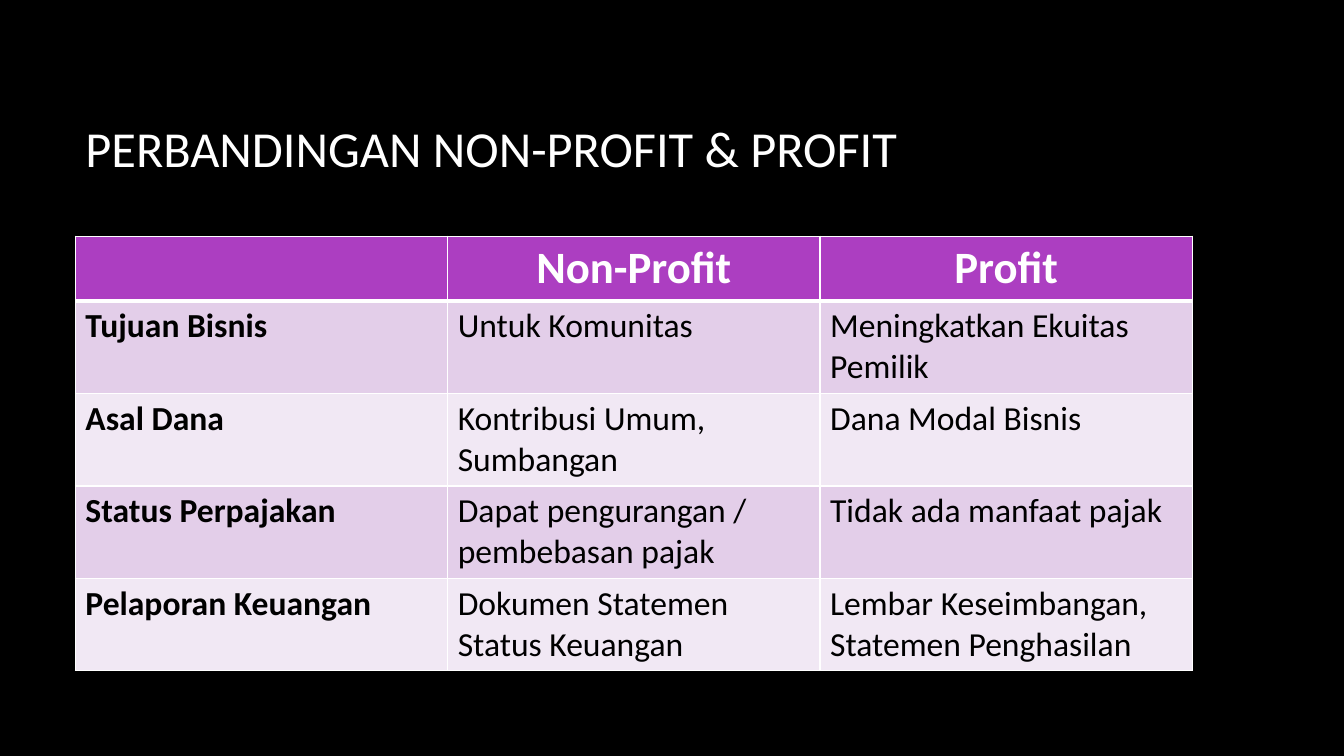
from dataclasses import dataclass

from lxml.etree import SubElement as Sub
from pptx import Presentation
from pptx.dml.color import RGBColor as Rgb
from pptx.enum.text import MSO_ANCHOR as Anchor, MSO_AUTO_SIZE as Fit, PP_ALIGN as Align
from pptx.oxml.ns import qn
from pptx.util import Cm, Pt

HUES = {
    "back": "000000",
    "light": "FFFFFF",
    "dark": "000000",
    "head": "AC3EC1",
    "odd": "E3CEE9",
    "even": "F1E8F4",
}
LEFT, WIDTH = Cm(1.9), Cm(28.15)


@dataclass
class Row:
    cells: tuple[str, str, str]
    fill: str
    tall: float = 2.33
    size: int = 24
    ink: str = "dark"
    align: Align = Align.LEFT
    bold: tuple[bool, bool, bool] = (True, False, False)
    top: int = 1
    base: int = 1


ROWS = [
    Row(("", "Non-Profit", "Profit"), "head", 1.63, 32, "light",
        Align.CENTER, (True, True, True), base=3),
    Row(("Tujuan Bisnis", "Untuk Komunitas", "Meningkatkan Ekuitas Pemilik"), "odd", top=3),
    Row(("Asal Dana", "Kontribusi Umum, Sumbangan", "Dana Modal Bisnis"), "even"),
    Row(("Status Perpajakan", "Dapat pengurangan / pembebasan pajak",
         "Tidak ada manfaat pajak"), "odd"),
    Row(("Pelaporan Keuangan", "Dokumen Statemen Status Keuangan",
         "Lembar Keseimbangan, Statemen Penghasilan"), "even"),
]


def style(para, size: int, ink: str, bold: bool, align: Align) -> None:
    para.alignment = align
    for key, val in {"name": "Calibri", "size": Pt(size), "bold": bold}.items():
        setattr(para.font, key, val)
    para.font.color.rgb = Rgb.from_string(HUES[ink])


def edge(cell, row: Row) -> None:
    props = cell._tc.get_or_add_tcPr()
    sides = {"lnL": 1, "lnR": 1, "lnT": row.top, "lnB": row.base}
    for spot, (side, wide) in enumerate(sides.items()):
        line = Sub(props, qn(f"a:{side}"), w=str(Pt(wide)))
        Sub(Sub(line, qn("a:solidFill")), qn("a:srgbClr"), val=HUES["light"])
        props.insert(spot, line)


def title(slide) -> None:
    head = slide.shapes.title
    place = {"left": LEFT, "top": Cm(1.7), "width": WIDTH, "height": Cm(4.04)}
    for key, val in place.items():
        setattr(head, key, val)
    frame = head.text_frame
    frame.text = "PERBANDINGAN NON-PROFIT & PROFIT"
    form = {"word_wrap": True, "auto_size": Fit.NONE, "vertical_anchor": Anchor.MIDDLE}
    for key, val in form.items():
        setattr(frame, key, val)
    style(frame.paragraphs[0], 36, "light", False, Align.LEFT)


def grid(slide) -> None:
    tall = Cm(sum(row.tall for row in ROWS))
    table = slide.shapes.add_table(len(ROWS), 3, LEFT, Cm(5.95), WIDTH, tall).table
    table.horz_banding = False
    for line, row in zip(table.rows, ROWS):
        line.height = Cm(row.tall)
        for cell, text, bold in zip(line.cells, row.cells, row.bold):
            cell.text = text
            cell.fill.solid()
            cell.fill.fore_color.rgb = Rgb.from_string(HUES[row.fill])
            edge(cell, row)
            style(cell.text_frame.paragraphs[0], row.size, row.ink, bold, row.align)


def main() -> None:
    deck = Presentation()
    deck.slide_width, deck.slide_height = Cm(33.87), Cm(19.05)
    slide = deck.slides.add_slide(deck.slide_layouts[5])
    back = slide.background.fill
    back.solid()
    back.fore_color.rgb = Rgb.from_string(HUES["back"])
    title(slide)
    grid(slide)
    deck.save("out.pptx")


if __name__ == "__main__":
    main()
